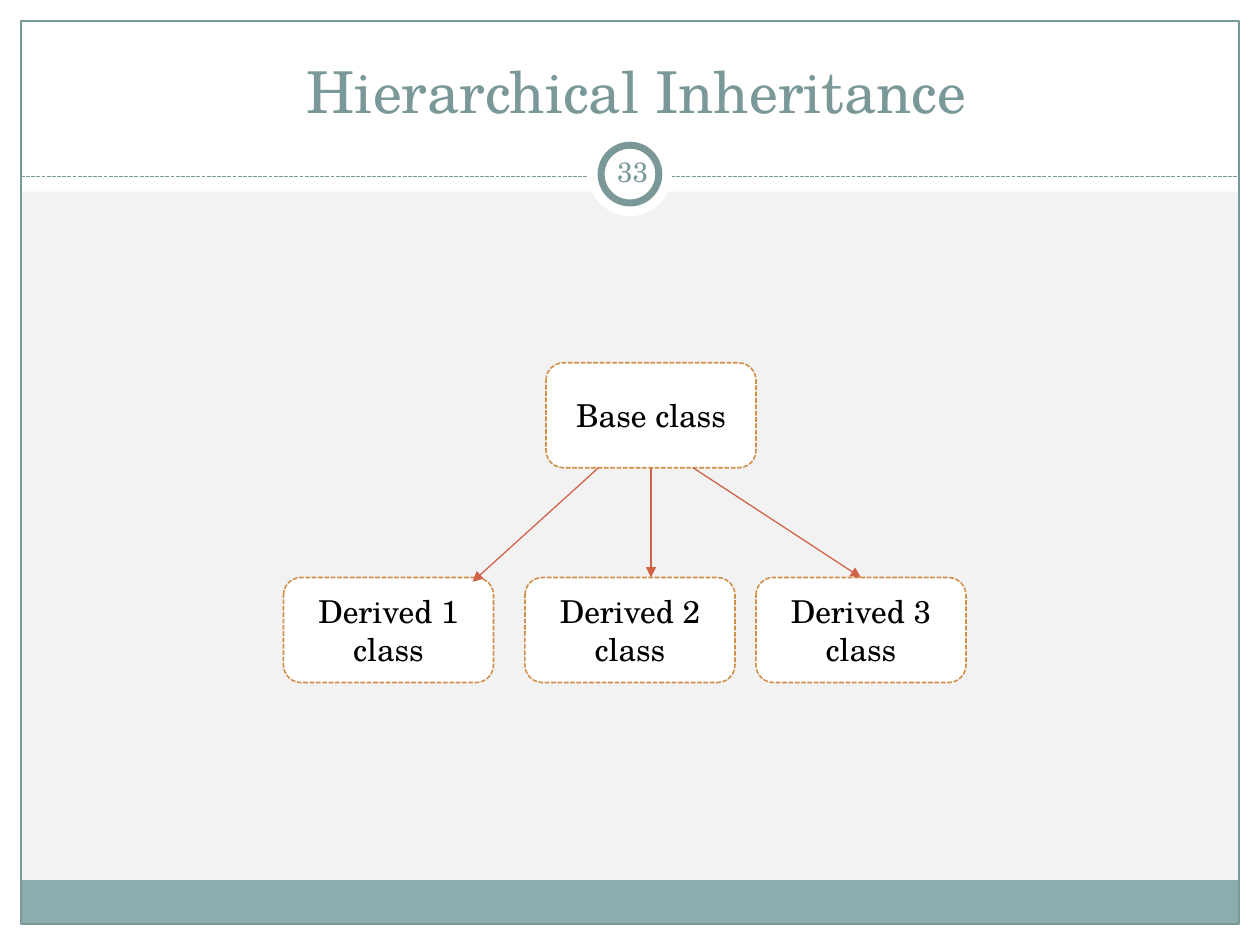
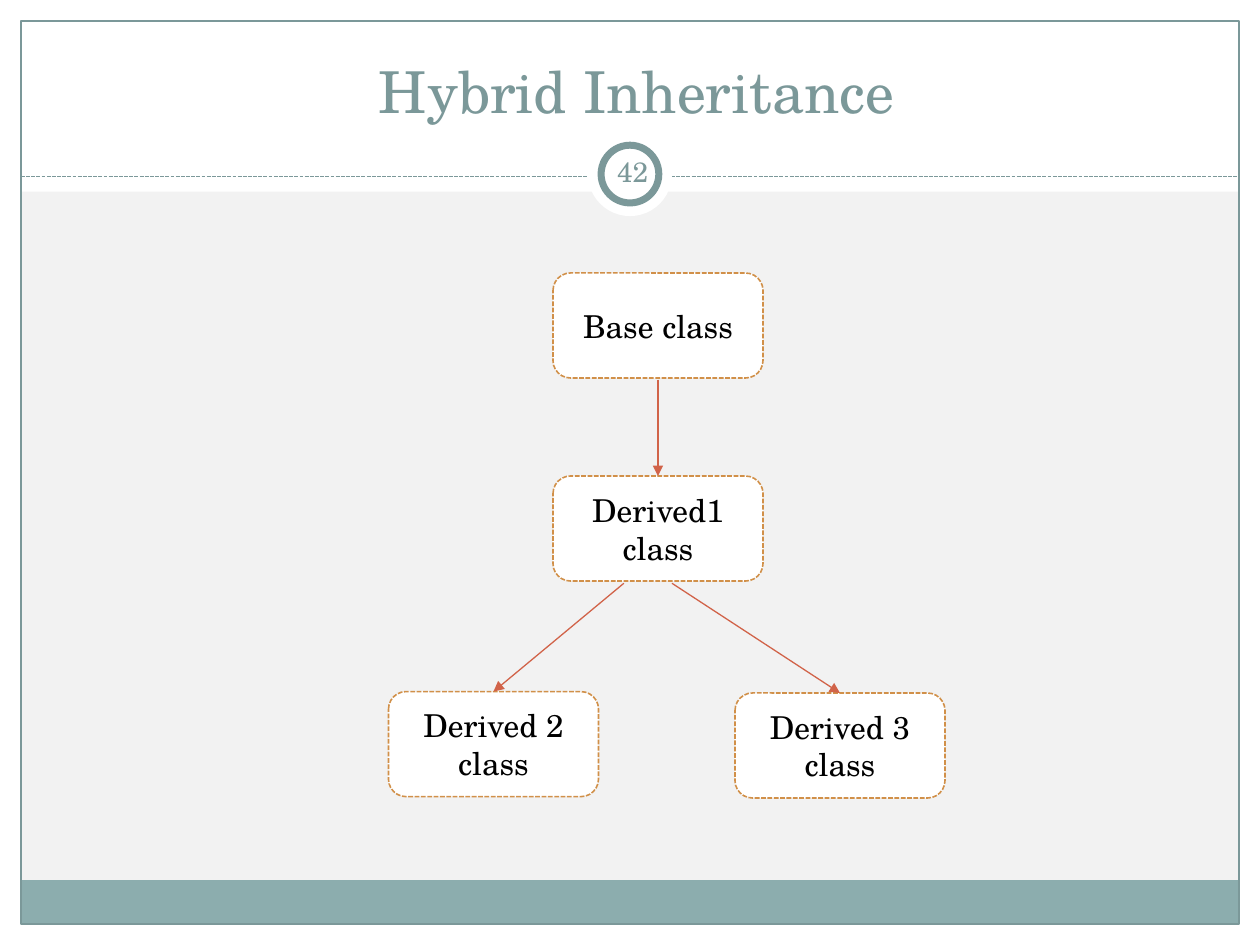
"""Builds two slides of class inheritance diagrams."""
import pptx
import pptx.dml.color
import pptx.enum.dml
import pptx.enum.shapes
import pptx.enum.text
import pptx.oxml
import pptx.oxml.ns
import pptx.util

Pt = pptx.util.Pt
SHAPE = pptx.enum.shapes.MSO_SHAPE
ANCHOR = pptx.enum.text.MSO_ANCHOR
FONT = "TeX Gyre Schola"
COLORS = {
    "page": "F2F2F2", "white": "FFFFFF", "teal": "7B9899", "footer": "8CADAE",
    "border": "D19049", "arrow": "D16349", "text": "000000",
}
W, H, MARGIN, HEADER = 720, 540, 12, 109.5
RULE_Y = 101
BOX_W, BOX_H = 120, 60

# boxes: name -> (label, left, top)
# arrows: parent, child, offset from parent's bottom centre, offset from child's top centre
SLIDES = [
    {
        "title": "Hierarchical Inheritance",
        "number": "33",
        "boxes": {
            "base": ("Base class", 312, 207.3),
            "d1": ("Derived 1 class", 162, 330),
            "d2": ("Derived 2 class", 300, 330),
            "d3": ("Derived 3 class", 432, 330),
        },
        "arrows": [
            ("base", "d1", (-30, 0), (48, 2.5)),
            ("base", "d2", (0, 0), (12, 0)),
            ("base", "d3", (24, 0), (0, 0)),
        ],
    },
    {
        "title": "Hybrid Inheritance",
        "number": "42",
        "boxes": {
            "base": ("Base class", 316, 156),
            "d1": ("Derived1 class", 316, 272),
            "d2": ("Derived 2 class", 222, 395.2),
            "d3": ("Derived 3 class", 420, 396),
        },
        "arrows": [
            ("base", "d1", (0, 1), (0, 0)),
            ("d1", "d2", (-19.5, 1.3), (0, 0)),
            ("d1", "d3", (8, 1.3), (0, 0)),
        ],
    },
]


def rgb(name):
    return pptx.dml.color.RGBColor.from_string(COLORS[name])


def style_line(line, color, width, dashed=False):
    line.color.rgb = rgb(color)
    line.width = Pt(width)
    if dashed:
        line.dash_style = pptx.enum.dml.MSO_LINE.SQUARE_DOT


def write(sp, text, size, color, anchor=ANCHOR.MIDDLE, insets=(7.2, 3.6, 7.2, 3.6)):
    tf = sp.text_frame
    tf.word_wrap = True
    tf.auto_size = pptx.enum.text.MSO_AUTO_SIZE.NONE
    tf.vertical_anchor = anchor
    tf.margin_left, tf.margin_top, tf.margin_right, tf.margin_bottom = map(Pt, insets)
    p = tf.paragraphs[0]
    p.alignment = pptx.enum.text.PP_ALIGN.CENTER
    r = p.add_run()
    r.text = text
    r.font.name, r.font.size = FONT, Pt(size)
    r.font.color.rgb = rgb(color)


def add_shape(s, kind, box, fill=None, line=None):
    sp = s.shapes.add_shape(kind, *map(Pt, box))
    sp.shadow.inherit = False
    if fill:
        sp.fill.solid()
        sp.fill.fore_color.rgb = rgb(fill)
    else:
        sp.fill.background()
    if line:
        style_line(sp.line, *line)
    else:
        sp.line.fill.background()
    return sp


def add_line(s, start, end, color, dashed=False, arrow=False):
    cn = s.shapes.add_connector(
        pptx.enum.shapes.MSO_CONNECTOR.STRAIGHT, *map(Pt, (*start, *end)))
    style_line(cn.line, color, 0.75, dashed)
    sp_pr = cn.element.spPr
    if arrow:
        tail = pptx.oxml.parse_xml(
            f'<a:tailEnd {pptx.oxml.ns.nsdecls("a")} type="triangle"/>')
        cn.line.fill
        sp_pr.find(pptx.oxml.ns.qn("a:ln")).append(tail)
    sp_pr.append(pptx.oxml.parse_xml(f'<a:effectLst {pptx.oxml.ns.nsdecls("a")}/>'))


def add_frame(s, title, number):
    s.background.fill.solid()
    s.background.fill.fore_color.rgb = rgb("page")
    inner_w, bottom = W - 2 * MARGIN, H - MARGIN
    for box in [(0, bottom, W, MARGIN), (0, 0, W, HEADER),
                (0, 0, MARGIN, H), (W - MARGIN, 0, MARGIN, H)]:
        add_shape(s, SHAPE.RECTANGLE, box, "white")
    add_shape(s, SHAPE.RECTANGLE, (MARGIN, 503, inner_w, bottom - 503), "footer")
    add_shape(s, SHAPE.RECTANGLE, (MARGIN, MARGIN, inner_w, H - 2 * MARGIN),
              line=("teal", 0.75))
    add_line(s, (MARGIN, RULE_Y), (W - MARGIN, RULE_Y), "teal", dashed=True)
    for size, line in [(48, None), (33, ("teal", 4))]:
        add_shape(s, SHAPE.OVAL, ((W - size) / 2, 99.5 - size / 2, size, size),
                  "white", line)
    badge = s.shapes.add_textbox(*map(Pt, (343.5, 80.8, 36, 34.5)))
    write(badge, number, 16, "teal", insets=(3.6,) * 4)

    sp = s.shapes.title
    sp.left, sp.top, sp.width, sp.height = map(Pt, (20, 21.5, 687.8, 53.5))
    write(sp, title, 33, "teal", ANCHOR.BOTTOM, (7.2, 2, 7.2, 3.6))
    sp.element.getparent().append(sp.element)


def add_diagram(s, boxes, arrows):
    for label, x, y in boxes.values():
        sp = add_shape(s, SHAPE.ROUNDED_RECTANGLE, (x, y, BOX_W, BOX_H),
                       "white", ("border", 0.91, True))
        write(sp, label, 18, "text")
    for parent, child, (dx1, dy1), (dx2, dy2) in arrows:
        _, x1, y1 = boxes[parent]
        _, x2, y2 = boxes[child]
        add_line(s, (x1 + BOX_W / 2 + dx1, y1 + BOX_H + dy1),
                 (x2 + BOX_W / 2 + dx2, y2 + dy2), "arrow", arrow=True)


def main():
    prs = pptx.Presentation()
    prs.slide_width, prs.slide_height = Pt(W), Pt(H)
    for slide in SLIDES:
        s = prs.slides.add_slide(prs.slide_layouts[5])
        add_frame(s, slide["title"], slide["number"])
        add_diagram(s, slide["boxes"], slide["arrows"])
    prs.save("out.pptx")


if __name__ == "__main__":
    main()
